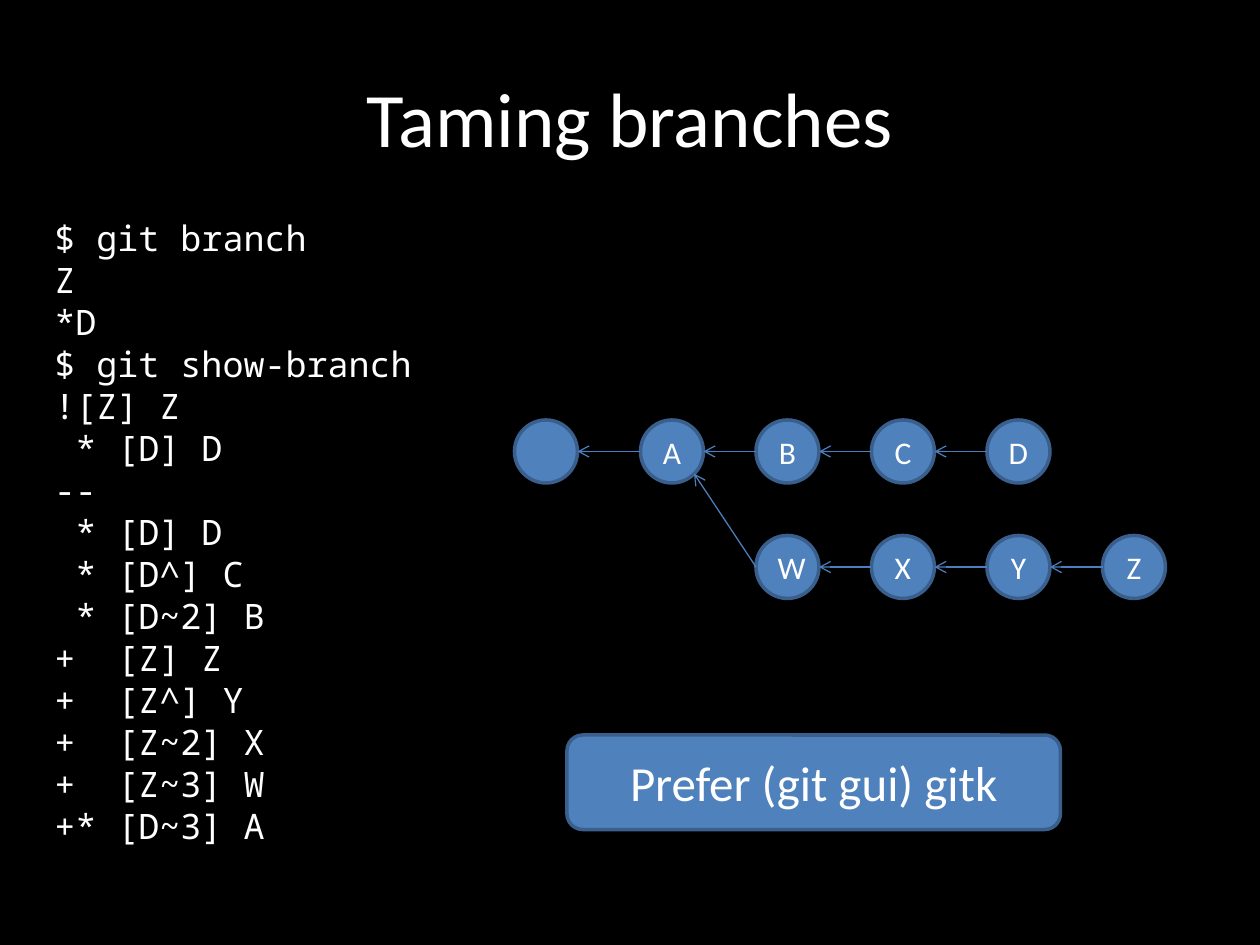
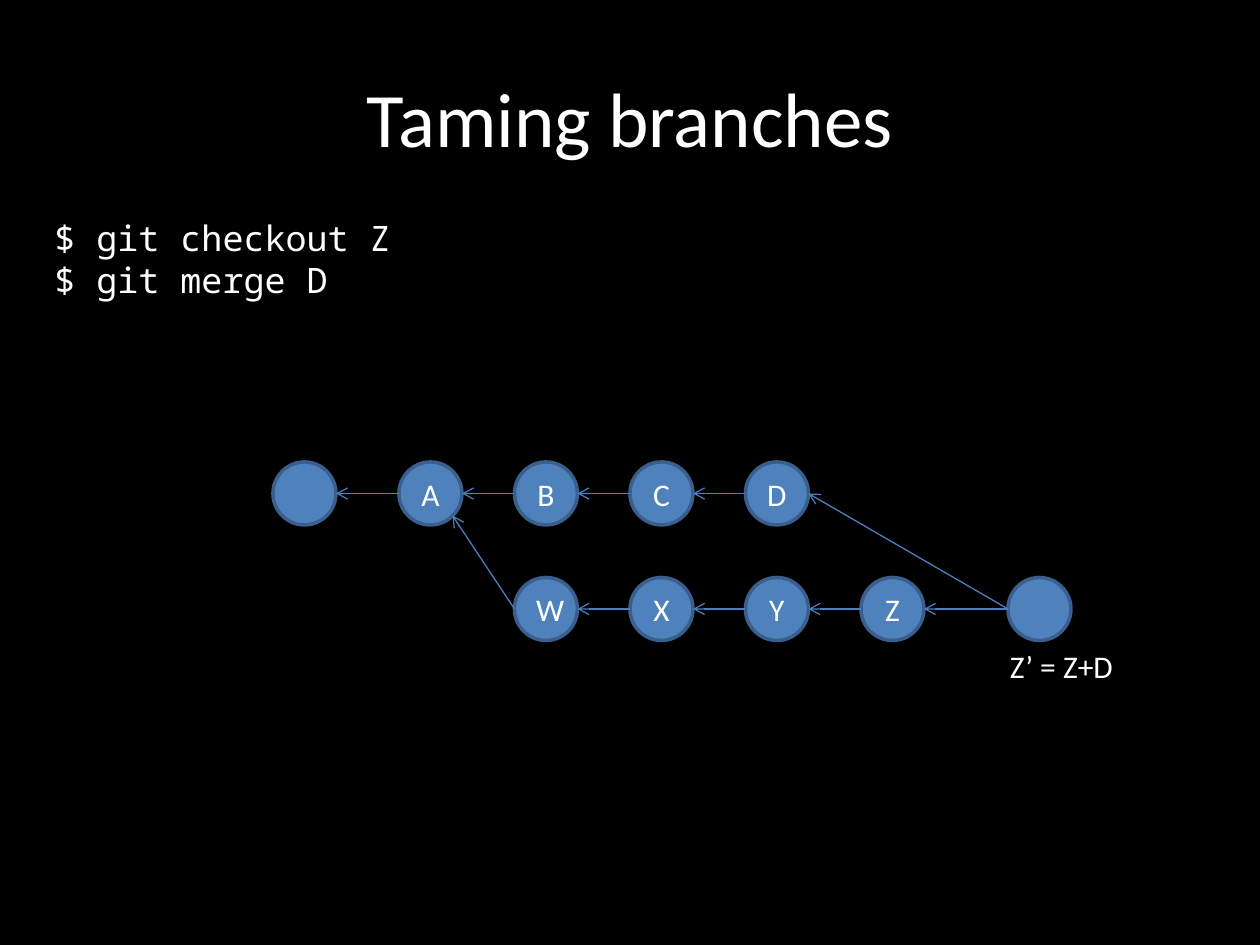
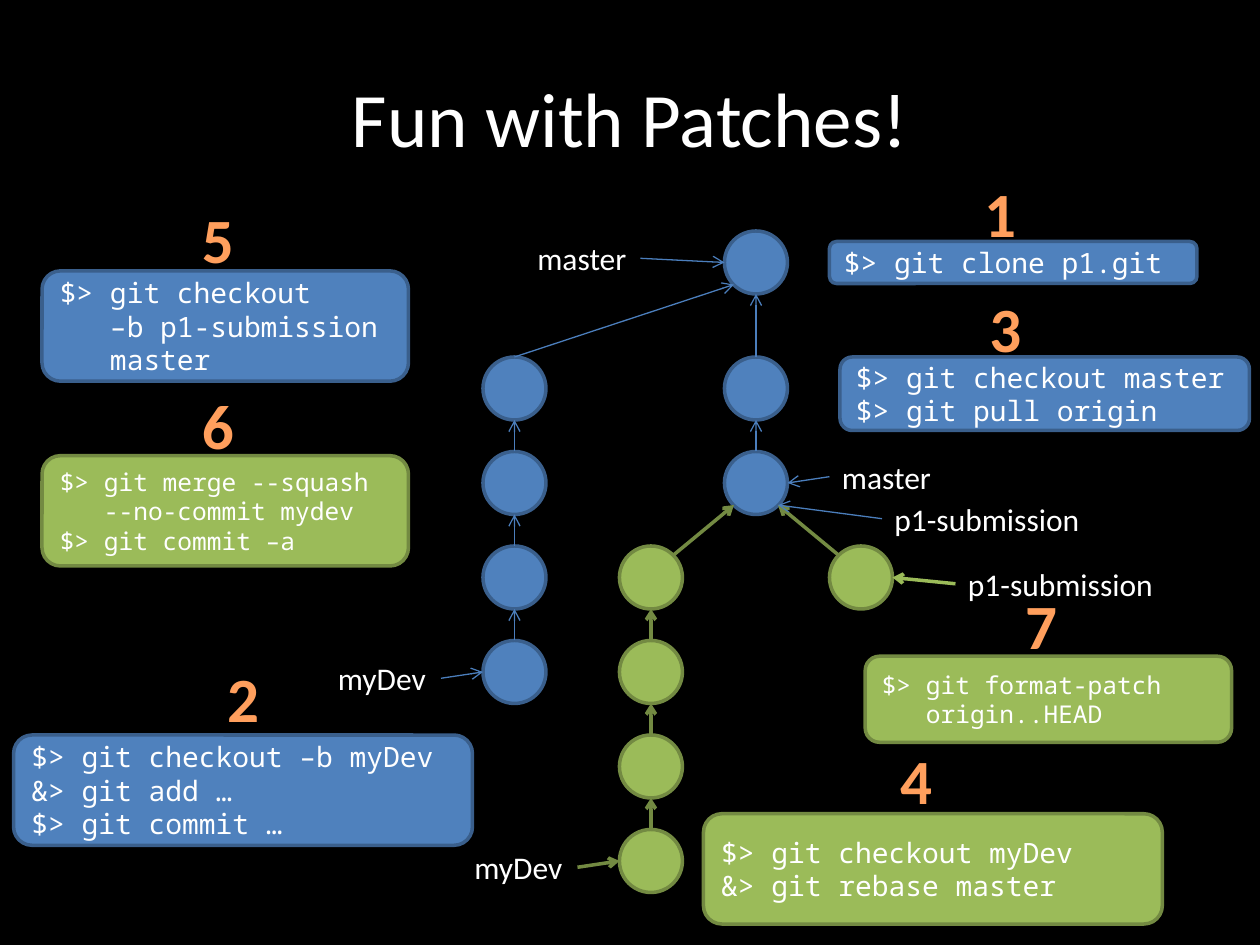
from collections import namedtuple

from lxml import etree
from pptx import Presentation
from pptx.dml.color import RGBColor
from pptx.enum.shapes import MSO_CONNECTOR, MSO_SHAPE
from pptx.enum.text import MSO_ANCHOR, PP_ALIGN
from pptx.oxml.ns import qn
from pptx.util import Inches, Pt

OVAL = MSO_SHAPE.OVAL
ROUND = MSO_SHAPE.ROUNDED_RECTANGLE
STRAIGHT = MSO_CONNECTOR.STRAIGHT
MIDDLE = MSO_ANCHOR.MIDDLE
LEFT = PP_ALIGN.LEFT
CENTER = PP_ALIGN.CENTER

BLACK = RGBColor(0x00, 0x00, 0x00)
WHITE = RGBColor(0xFF, 0xFF, 0xFF)
ORANGE = RGBColor(0xFF, 0x9F, 0x5D)
SKY = RGBColor(0x4F, 0x81, 0xBD)
NAVY = RGBColor(0x3A, 0x5F, 0x8C)
STEEL = RGBColor(0x4B, 0x7E, 0xBC)
LIME = RGBColor(0x9B, 0xBB, 0x59)
OLIVE = RGBColor(0x73, 0x8A, 0x42)

Look = namedtuple("Look", "fill edge wire weight")
BLUE = Look(SKY, NAVY, STEEL, 0.75)
GREEN = Look(LIME, OLIVE, OLIVE, 2)
PALE = GREEN._replace(wire=LIME)

SANS = "Calibri"
MONO = "Noto Sans Mono"
COLS, ROWS = 120, 90
NODE = 6
PORTS = {
    "top": (0.5, 0), "left": (0, 0.5), "bottom": (0.5, 1), "right": (1, 0.5),
    "top left": (0.15, 0.15), "top right": (0.85, 0.15),
    "bottom left": (0.15, 0.85), "bottom right": (0.85, 0.85),
}
SITES = {"left": 1, "right": 3}


class Deck:
    def __init__(self):
        self.prs = Presentation()
        self.prs.slide_width = Inches(10)
        self.prs.slide_height = Inches(7.5)
        self.slide = None

    def start(self, title):
        self.slide = self.prs.slides.add_slide(self.prs.slide_layouts[6])
        fill = self.slide.background.fill
        fill.solid()
        fill.fore_color.rgb = BLACK
        box = self.label(title, 6, 3.6, 108, 15, size=44, align=CENTER)
        box.text_frame.vertical_anchor = MIDDLE

    def place(self, col, row, width, height):
        across = self.prs.slide_width / COLS
        down = self.prs.slide_height / ROWS
        return [round(n) for n in (col * across, row * down, width * across, height * down)]

    def letter(self, shape, text, size, font, align, color=WHITE, bold=False):
        frame = shape.text_frame
        frame.text = text
        for para in frame.paragraphs:
            para.alignment = align
            para.font.name = font
            para.font.size = Pt(size)
            para.font.bold = bold
            para.font.color.rgb = color

    def label(self, text, col, row, width, height=4.8, size=18, font=SANS,
              align=LEFT, color=WHITE, bold=False):
        box = self.slide.shapes.add_textbox(*self.place(col, row, width, height))
        box.text_frame.word_wrap = True
        self.letter(box, text, size, font, align, color, bold)
        return box

    def digit(self, text, col, row):
        box = self.label(text, col, row, 5.5, 8.5, 36, SANS, CENTER, ORANGE, True)
        box.text_frame.word_wrap = False

    def block(self, kind, look, col, row, width, height):
        shape = self.slide.shapes.add_shape(kind, *self.place(col, row, width, height))
        shape.shadow.inherit = False
        shape.fill.solid()
        shape.fill.fore_color.rgb = look.fill
        shape.line.color.rgb = look.edge
        shape.line.width = Pt(2)
        shape.text_frame.vertical_anchor = MIDDLE
        return shape

    def panel(self, text, look, col, row, width, height, size=16, font=MONO, align=LEFT):
        shape = self.block(ROUND, look, col, row, width, height)
        self.letter(shape, text, size, font, align)

    def node(self, col, row, name="", look=BLUE):
        shape = self.block(OVAL, look, col, row, NODE, NODE)
        if name:
            self.letter(shape, name, 18, SANS, CENTER)
        return shape

    def spot(self, shape, port):
        x, y = PORTS[port]
        return round(shape.left + x * shape.width), round(shape.top + y * shape.height)

    def arrow(self, tail, out, head, into, look=BLUE):
        wire = self.slide.shapes.add_connector(
            STRAIGHT, *self.spot(tail, out), *self.spot(head, into))
        wire.line.color.rgb = look.wire
        wire.line.width = Pt(look.weight)
        props = wire.element.find(qn("p:spPr"))
        etree.SubElement(props.find(qn("a:ln")), qn("a:tailEnd"), type="arrow")
        etree.SubElement(props, qn("a:effectLst"))
        return wire

    def flag(self, text, col, row, width, side, head, into, look=BLUE):
        box = self.label(text, col, row, width)
        self.arrow(box, side, head, into, look).begin_connect(box, SITES[side])

    def across(self, col, row, names):
        nodes = [self.node(col + 11 * i, row, name) for i, name in enumerate(names)]
        for old, new in zip(nodes, nodes[1:]):
            self.arrow(new, "left", old, "right")
        return nodes

    def down(self, col, row, count, look=BLUE):
        nodes = [self.node(col, row + 9 * i, look=look) for i in range(count)]
        for old, new in zip(nodes, nodes[1:]):
            self.arrow(new, "top", old, "bottom", look)
        return nodes

    def graph(self, col, row):
        root = self.node(col, row)
        main = self.across(col + 12, row, "ABCD")
        side = self.across(col + 23, row + 11, "WXYZ")
        self.arrow(main[0], "left", root, "right")
        self.arrow(side[0], "left", main[0], "bottom right")
        return main[-1], side[-1]

    def shell(self, text, height):
        self.label(text, 4, 20, 42, height, 20, MONO)


SHOW = """$ git branch
Z
*D
$ git show-branch
![Z] Z
 * [D] D
--
 * [D] D
 * [D^] C
 * [D~2] B
+  [Z] Z
+  [Z^] Y
+  [Z~2] X
+  [Z~3] W
+* [D~3] A"""

STEPS = [
    ("1", 92.5, 16, "$> git clone p1.git", BLUE, 79, 23, 35, 4, 16),
    ("2", 20.4, 62.2, "$> git checkout –b myDev\n&> git add …\n$> git commit …",
     BLUE, 1.3, 70, 43.7, 10.5, 16),
    ("3", 93, 27, "$> git checkout master\n$> git pull origin", BLUE, 80, 34, 39, 7, 16),
    ("4", 84.5, 70, "$> git checkout myDev\n&> git rebase master",
     GREEN, 67, 77.5, 43.7, 10.5, 16),
    ("5", 18, 18.5, "$> git checkout\n   –b p1-submission\n   master",
     BLUE, 4, 25.8, 34.9, 10.5, 16),
    ("6", 18, 36.2, "$> git merge --squash\n   --no-commit mydev\n$> git commit –a",
     GREEN, 4, 43.4, 34.9, 10.5, 14),
    ("7", 96.4, 55.3, "$> git format-patch\n   origin..HEAD",
     GREEN, 82.4, 62.5, 34.9, 8.2, 14),
]


def show(deck):
    deck.start("Taming branches")
    deck.graph(49, 40)
    deck.shell(SHOW, 61.8)
    deck.panel("Prefer (git gui) gitk", BLUE, 54, 70, 47, 9, 28, SANS, CENTER)


def merge(deck):
    deck.start("Taming branches")
    tips = deck.graph(26, 44)
    deck.shell("$ git checkout Z\n$ git merge D", 9.2)
    join = deck.node(96, 55)
    for tip in tips:
        deck.arrow(join, "left", tip, "right")
    deck.label("Z’ = Z+D", 95, 61, 14)


def patch(deck):
    deck.start("Fun with Patches!")
    first = deck.node(69, 22)
    trunk = deck.down(69, 34, 2)
    dev = deck.down(46, 34, 4)
    moved = deck.down(59, 52, 4, GREEN)
    squash = deck.node(79, 52, look=GREEN)
    base = trunk[-1]
    deck.arrow(trunk[0], "top", first, "bottom")
    deck.arrow(dev[0], "top", first, "bottom left")
    deck.arrow(moved[0], "top right", base, "bottom left", GREEN)
    deck.arrow(squash, "top left", base, "bottom right", GREEN)
    deck.flag("master", 50, 22.2, 11, "right", first, "left")
    deck.flag("myDev", 31, 62.2, 11, "right", dev[-1], "left")
    deck.flag("master", 79, 43, 11, "left", base, "right")
    deck.flag("myDev", 44, 80.2, 11, "right", moved[-1], "left", GREEN)
    deck.flag("p1-submission", 84, 47, 21, "left", base, "bottom right")
    deck.flag("p1-submission", 91, 53.2, 21, "left", squash, "right", PALE)
    for mark, col, row, *panel in STEPS:
        deck.panel(*panel)
        deck.digit(mark, col, row)


def main():
    deck = Deck()
    show(deck)
    merge(deck)
    patch(deck)
    deck.prs.save("out.pptx")


if __name__ == "__main__":
    main()
